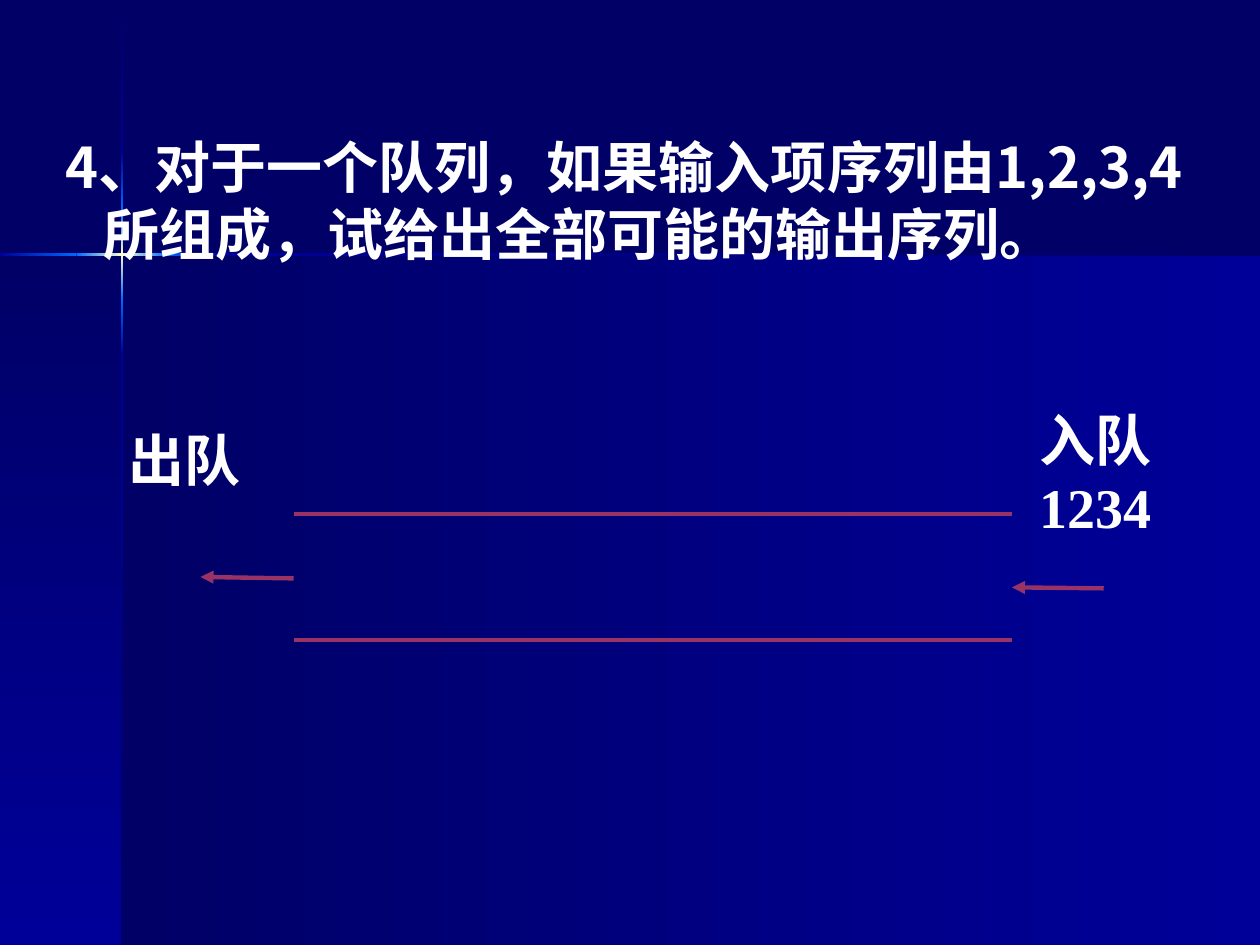
from dataclasses import dataclass
from itertools import pairwise
from typing import Any

from lxml.etree import SubElement
from pptx import Presentation
from pptx.dml.color import RGBColor
from pptx.enum.shapes import MSO_CONNECTOR, MSO_SHAPE
from pptx.enum.text import MSO_ANCHOR, MSO_AUTO_SIZE, PP_ALIGN
from pptx.oxml import parse_xml
from pptx.oxml.ns import nsdecls, qn
from pptx.util import Cm, Pt


@dataclass(frozen=True)
class Theme:
    """Colours, fonts and sizes of the slide."""
    deep: str = "000066"
    blue: str = "000099"
    glow: str = "0066FF"
    spark: str = "FFFFCC"
    rule: str = "993366"
    text: str = "FFFFFF"
    sans: str = "Noto Sans CJK SC"
    serif: str = "Times New Roman"
    size: float = 32
    width: float = 2.5
    before: float = 20


@dataclass(frozen=True)
class Box:
    """A place in centimetres."""
    left: float
    top: float
    width: float
    height: float


@dataclass(frozen=True)
class Panel:
    """A rectangle with a gradient across or down it."""
    box: Box
    stops: tuple[str, ...]
    down: bool


@dataclass(frozen=True)
class Line:
    """A straight line, with or without an arrowhead."""
    start: tuple[float, float]
    end: tuple[float, float]
    arrow: bool = False


@dataclass(frozen=True)
class Label:
    """A short text beside the queue."""
    text: str
    box: Box


THEME = Theme()
WIDE, HIGH = 25.4, 19.05
EDGE, BAND, THIN = 2.46, 5.13, 0.05
FADE = (
    (THEME.deep, THEME.blue),
    (THEME.blue, THEME.glow),
    (THEME.glow, THEME.spark, THEME.glow),
    (THEME.glow, THEME.blue),
    (THEME.blue, THEME.deep),
)
ROWS = (0.03, 3.07, 4.19, 6.05, 7.16, HIGH)
COLS = (0, 1.54, 3.38, 4.5, WIDE)
PANELS = (
    Panel(Box(EDGE, BAND, WIDE - EDGE, HIGH - BAND), FADE[0], False),
    Panel(Box(0, BAND, EDGE, HIGH - BAND), FADE[0], True),
    *(Panel(Box(2.44, a, THIN, b - a), stops, True)
      for (a, b), stops in zip(pairwise(ROWS), FADE)),
    *(Panel(Box(a, 5.11, b - a, THIN), stops, False)
      for (a, b), stops in zip(pairwise(COLS), FADE[1:])),
)
LINES = (
    Line((5.92, 10.36), (20.4, 10.36)),
    Line((5.92, 12.9), (20.4, 12.9)),
    Line((5.92, 11.66), (4.04, 11.63), True),
    Line((22.25, 11.86), (20.4, 11.84), True),
)
LABELS = (
    Label("入队1234", Box(20.7, 8.05, 3, 2.97)),
    Label("出队", Box(2.34, 8.46, 3, 1.63)),
)
TITLE = (
    ("4、对于一个队列，如果输入项序列由1,2,3,4", 0),
    ("所组成，试给出全部可能的输出序列。", 0.76),
)


def place(box: Box) -> tuple[Cm, Cm, Cm, Cm]:
    """Return the box as lengths."""
    return Cm(box.left), Cm(box.top), Cm(box.width), Cm(box.height)


def draw_panel(shapes: Any, panel: Panel) -> None:
    """Draw one gradient rectangle."""
    shape = shapes.add_shape(MSO_SHAPE.RECTANGLE, *place(panel.box))
    shape.shadow.inherit = False
    shape.line.fill.background()
    step = 100000 // (len(panel.stops) - 1)
    stops = "".join(
        f'<a:gs pos="{i * step}"><a:srgbClr val="{tint}"/></a:gs>'
        for i, tint in enumerate(panel.stops))
    angle = 5400000 if panel.down else 0
    fill = parse_xml(
        f'<a:gradFill {nsdecls("a")} rotWithShape="1"><a:gsLst>{stops}</a:gsLst>'
        f'<a:lin ang="{angle}" scaled="0"/></a:gradFill>')
    shape.element.spPr.find(qn("a:prstGeom")).addnext(fill)


def draw_line(shapes: Any, line: Line) -> None:
    """Draw one line of the queue."""
    link = shapes.add_connector(
        MSO_CONNECTOR.STRAIGHT, *map(Cm, line.start + line.end))
    link.line.color.rgb = RGBColor.from_string(THEME.rule)
    link.line.width = Pt(THEME.width)
    if line.arrow:
        SubElement(link.line._get_or_add_ln(), qn("a:tailEnd"), type="triangle")
    SubElement(link.element.spPr, qn("a:effectLst"))


def add_run(para: Any, text: str, face: str) -> None:
    """Add one bold run in the given face."""
    run = para.add_run()
    run.text = text
    font = run.font
    font.size, font.bold, font.name = Pt(THEME.size), True, face
    font.color.rgb = RGBColor.from_string(THEME.text)
    SubElement(run._r.get_or_add_rPr(), qn("a:ea"), typeface=THEME.sans)


def set_frame(frame: Any) -> None:
    """Set wrapping, fit and anchor of a text frame."""
    frame.word_wrap = True
    frame.auto_size = MSO_AUTO_SIZE.SHAPE_TO_FIT_TEXT
    frame.vertical_anchor = MSO_ANCHOR.TOP


def draw_label(shapes: Any, label: Label) -> None:
    """Draw one label of the queue."""
    frame = shapes.add_textbox(*place(label.box)).text_frame
    set_frame(frame)
    add_run(frame.paragraphs[0], label.text, THEME.serif)


def draw_title(slide: Any) -> None:
    """Fill the title and lift it above the panels."""
    title = slide.shapes.title
    title.left, title.top, title.width, title.height = place(
        Box(1.07, 2.54, 24.33, 4.32))
    frame = title.text_frame
    set_frame(frame)
    for i, (text, indent) in enumerate(TITLE):
        para = frame.add_paragraph() if i else frame.paragraphs[0]
        para.alignment = PP_ALIGN.LEFT
        para._p.get_or_add_pPr().set("marL", str(Cm(indent)))
        add_run(para, text, THEME.sans)
    slide.shapes.element.append(title.element)


def main() -> None:
    """Build the slide and save it."""
    deck = Presentation()
    deck.slide_width, deck.slide_height = Cm(WIDE), Cm(HIGH)
    slide = deck.slides.add_slide(deck.slide_layouts[5])
    back = slide.background.fill
    back.solid()
    back.fore_color.rgb = RGBColor.from_string(THEME.deep)
    cross = slide.shapes.add_group_shape().shapes
    for panel in PANELS:
        draw_panel(cross, panel)
    draw_title(slide)
    queue = slide.shapes.add_group_shape().shapes
    for line in LINES:
        draw_line(queue, line)
    for label in LABELS:
        draw_label(queue, label)


    deck.save("out.pptx")


if __name__ == "__main__":
    main()
